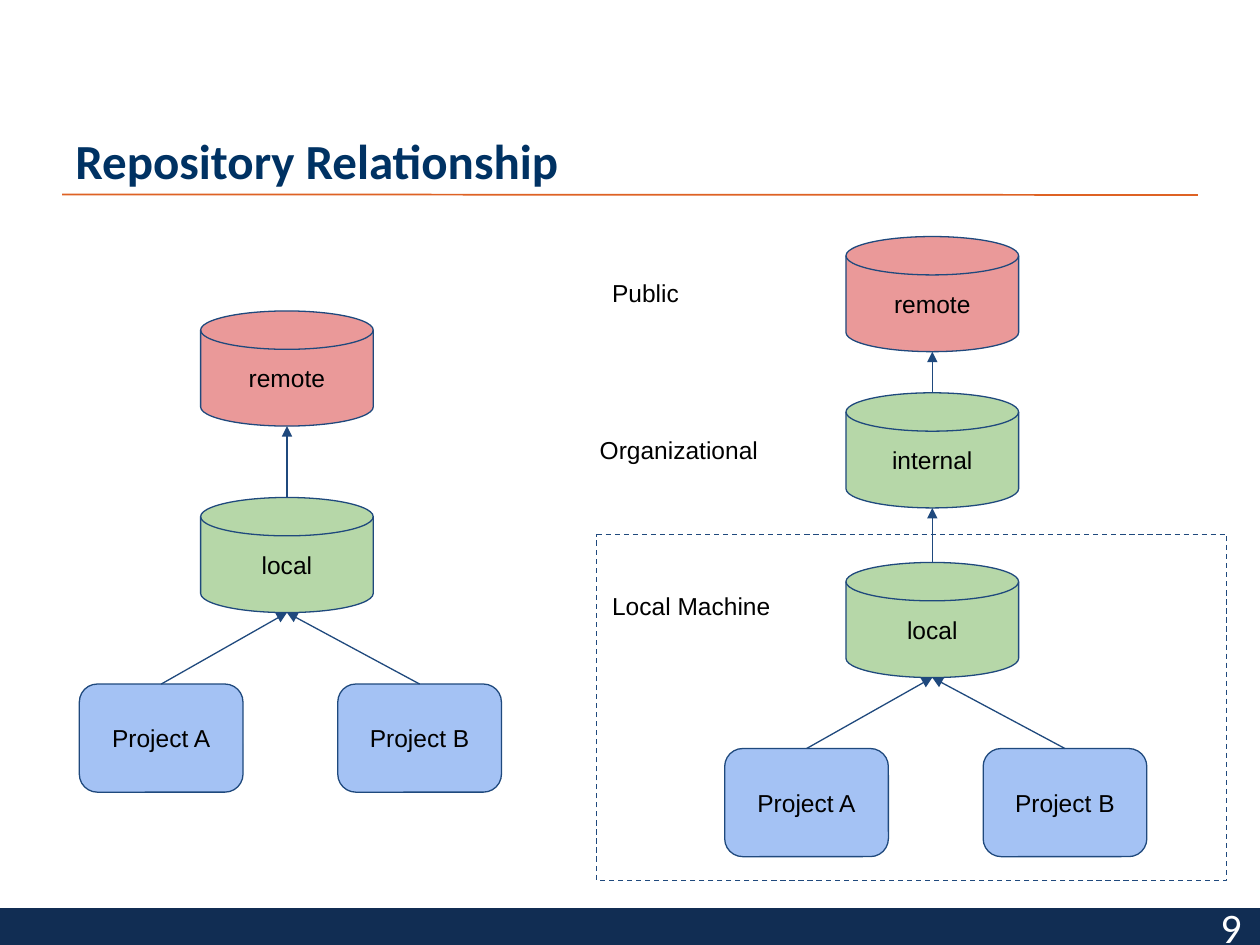
from dataclasses import dataclass

from lxml import etree
from pptx import Presentation
from pptx.dml.color import RGBColor
from pptx.enum import dml, shapes, text
from pptx.oxml import ns
from pptx.util import Cm, Pt


@dataclass(frozen=True)
class Theme:
    navy: str = "112D53"
    title: str = "003263"
    rule: str = "DE6224"
    outline: str = "1F497D"
    remote: str = "EA9999"
    repo: str = "B6D7A8"
    project: str = "A4C2F4"
    ink: str = "000000"
    white: str = "FFFFFF"
    head_font: str = "Calibri"
    body_font: str = "Arial"
    title_pt: int = 28
    number_pt: int = 24
    body_pt: int = 14
    rule_pt: float = 1
    line_pt: float = 0.75


T = Theme()
SHAPE = shapes.MSO_SHAPE
ALIGN = text.PP_ALIGN
ANCHOR = text.MSO_ANCHOR
# Sizes in cm
DISK_W, DISK_H = 3.48, 2.32
PROJECT_W, PROJECT_H = 3.3, 2.18
PROJECT_STEP = 5.21
TREE_W = PROJECT_STEP + PROJECT_W
INSET = 0.25


def rgb(value):
    return RGBColor.from_string(value)


def write(sp, words, font, size, color, align=ALIGN.LEFT,
          anchor=ANCHOR.MIDDLE, inset_y=INSET, bold=False):
    tf = sp.text_frame
    tf.word_wrap = True
    tf.vertical_anchor = anchor
    tf.margin_left = tf.margin_right = Cm(INSET)
    tf.margin_top = tf.margin_bottom = Cm(inset_y)
    p = tf.paragraphs[0]
    p.text = words
    p.alignment = align
    f = p.font
    f.name, f.size, f.bold = font, Pt(size), bold
    f.color.rgb = rgb(color)


def add_box(s, kind, x, y, w, h, fill=None, line=None):
    sp = s.shapes.add_shape(kind, Cm(x), Cm(y), Cm(w), Cm(h))
    sp.shadow.inherit = False
    if fill:
        sp.fill.solid()
        sp.fill.fore_color.rgb = rgb(fill)
    else:
        sp.fill.background()
    if line:
        sp.line.color.rgb = rgb(line)
        sp.line.width = Pt(T.line_pt)
    else:
        sp.line.fill.background()
    return sp


def add_node(s, kind, x, y, w, h, fill, words):
    sp = add_box(s, kind, x, y, w, h, fill, T.outline)
    write(sp, words, T.body_font, T.body_pt, T.ink, ALIGN.CENTER)


def add_line(s, x1, y1, x2, y2, color, width, arrow=False):
    c = s.shapes.add_connector(shapes.MSO_CONNECTOR.STRAIGHT,
                               Cm(x1), Cm(y1), Cm(x2), Cm(y2))
    c.line.color.rgb = rgb(color)
    c.line.width = Pt(width)
    if arrow:
        etree.SubElement(c.line._get_or_add_ln(), ns.qn("a:tailEnd"),
                         type="triangle")
    etree.SubElement(c._element.spPr, ns.qn("a:effectLst"))


def add_label(s, x, y, w, words):
    tb = s.shapes.add_textbox(Cm(x), Cm(y), Cm(w), Cm(1.12))
    write(tb, words, T.body_font, T.body_pt, T.ink, anchor=ANCHOR.TOP)


def frame(s, w, h):
    """Title, rule under it, footer band and page number."""
    add_line(s, 1.25, 3.92, w - 1.25, 3.93, T.rule, T.rule_pt)
    band_h = 0.74
    add_box(s, SHAPE.RECTANGLE, 0, h - band_h, w, band_h, T.navy)
    title = s.shapes.title
    title.left, title.top, title.width, title.height = map(
        Cm, (1.27, 0.76, 19.33, 3.18))
    write(title, "Repository Relationship", T.head_font, T.title_pt, T.title,
          anchor=ANCHOR.BOTTOM, inset_y=0.13, bold=True)
    number = s.shapes.add_textbox(Cm(w - 5.84), Cm(h - band_h),
                                  Cm(5.72), Cm(band_h))
    write(number, "9", T.head_font, T.number_pt, T.white, ALIGN.RIGHT,
          inset_y=0.13)


def repository_tree(s, x, y, repos, projects_y):
    """Chain of repositories, top first, over two projects.

    repos holds (name, fill, offset from y); projects_y is an offset too.
    """
    mid = x + TREE_W / 2 - 0.07
    for name, fill, dy in repos:
        add_node(s, SHAPE.FLOWCHART_MAGNETIC_DISK, mid - DISK_W / 2, y + dy,
                 DISK_W, DISK_H, fill, name)
    # Each repository points up to the one above
    for upper, lower in zip(repos, repos[1:]):
        add_line(s, mid, y + lower[2], mid, y + upper[2] + DISK_H,
                 T.outline, T.line_pt, arrow=True)
    # Both projects point to the last repository
    top = y + projects_y
    for i, name in enumerate(("Project A", "Project B")):
        left = x + i * PROJECT_STEP
        add_node(s, SHAPE.FLOWCHART_ALTERNATE_PROCESS, left, top,
                 PROJECT_W, PROJECT_H, T.project, name)
        add_line(s, left + PROJECT_W / 2, top, mid, y + repos[-1][2] + DISK_H,
                 T.outline, T.line_pt, arrow=True)


def organization_panel(s, x, y):
    """Three-level tree with level labels and the local machine outline."""
    machine = add_box(s, SHAPE.FLOWCHART_PROCESS, x, y + 6, 12.7, 6.98,
                      line=T.outline)
    machine.line.dash_style = dml.MSO_LINE.DASH
    repository_tree(s, x + 2.58, y, [("remote", T.remote, 0),
                                     ("internal", T.repo, 3.15),
                                     ("local", T.repo, 6.57)], 10.32)
    labels = (("Public", 0.06, 2.51), ("Organizational", -0.19, 3.76),
              ("Local Machine", 0.06, 3.76))
    for i, (words, dx, w) in enumerate(labels):
        add_label(s, x + dx, y + 0.59 + i * 3.15, w, words)


def main():
    prs = Presentation()
    prs.slide_width, prs.slide_height = Cm(25.4), Cm(19.05)
    s = prs.slides.add_slide(prs.slide_layouts[5])
    frame(s, 25.4, 19.05)
    repository_tree(s, 1.6, 6.27, [("remote", T.remote, 0),
                                   ("local", T.repo, 3.76)], 7.52)
    organization_panel(s, 12.03, 4.77)
    prs.save("out.pptx")


if __name__ == "__main__":
    main()
